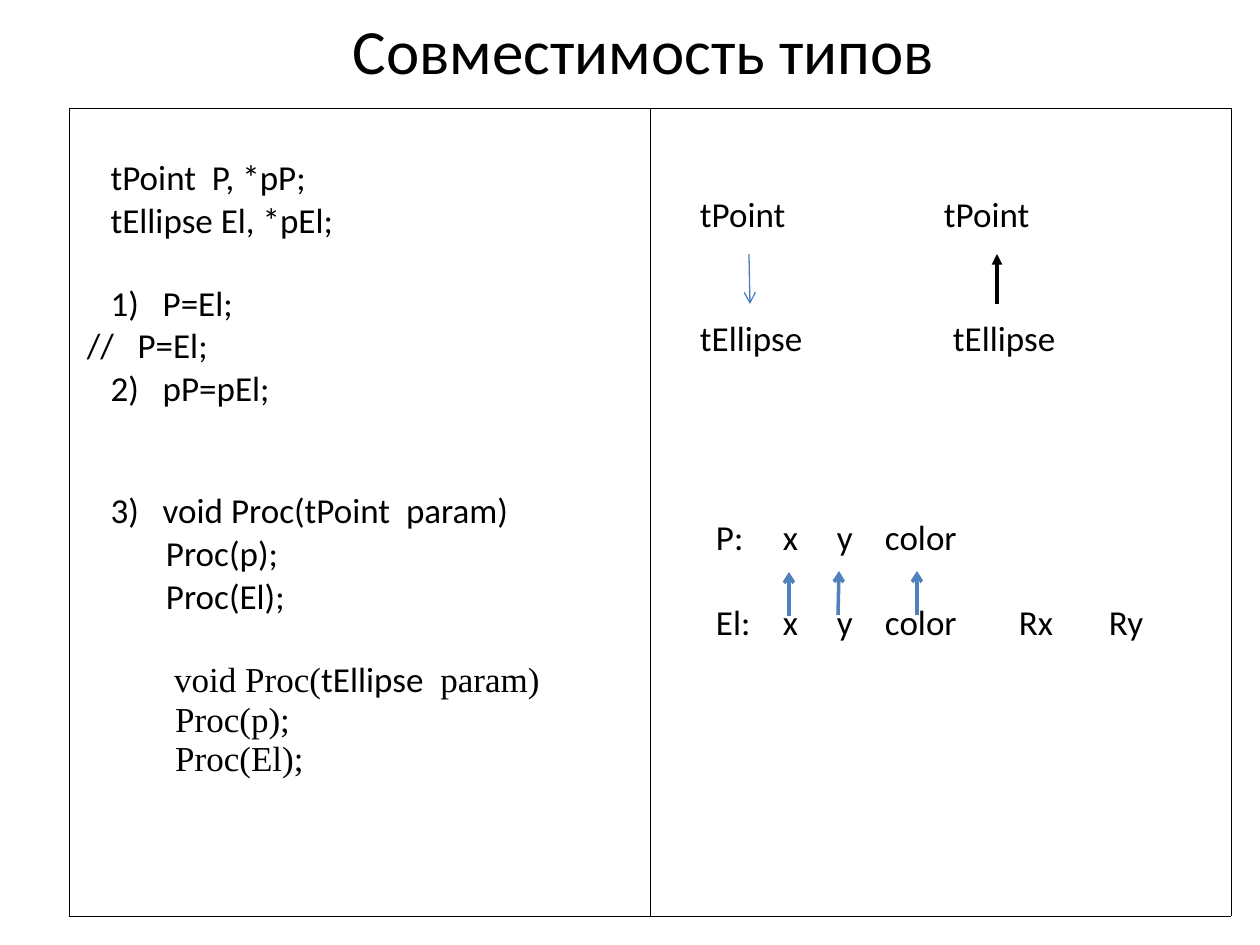
from dataclasses import dataclass

from lxml import etree
from pptx import Presentation, util as u
from pptx.dml.color import RGBColor
from pptx.enum import shapes, text
from pptx.oxml import ns

SCALE = 914400 / 126
BLACK = RGBColor(0, 0, 0)
BLUE = RGBColor(0x4F, 0x81, 0xBD)
DARK_BLUE = RGBColor(0x4A, 0x7E, 0xBB)
SANS = "Calibri"
SERIF = "Times New Roman"


@dataclass(frozen=True)
class Line:
    runs: tuple[tuple[str, str], ...]
    gap: int = 0
    tabs: tuple[int, ...] = ()


@dataclass(frozen=True)
class Arrow:
    x1: int
    y1: int
    x2: int
    y2: int
    color: RGBColor = BLUE
    width: float = 2
    head: str = "arrow"


def sans(content: str, gap: int = 0) -> Line:
    return Line(((content, SANS),), gap)


def columns(gap: int, **cols: int) -> Line:
    raise NotImplementedError


def row(words: tuple[str, ...], tabs: tuple[int, ...], gap: int = 0) -> Line:
    return Line((("".join("\t" + w for w in words), SANS),), gap, tabs)


FIELDS = (56, 123, 177, 225, 359, 449)
CODE = (
    sans("    tPoint  P, *pP;"),
    sans("    tEllipse El, *pEl;"),
    sans("    1)   P=El;", 40),
    sans(" //   P=El;"),
    sans("    2)   pP=pEl;"),
    sans("    3)   void Proc(tPoint  param)", 79),
    sans("           Proc(p);"),
    sans("           Proc(El);"),
    Line((("            ", SANS), ("void Proc(", SERIF),
          ("tEllipse ", SANS), (" param)", SERIF)), 40),
    Line((("           Proc(p);", SERIF),)),
    Line((("           Proc(El);", SERIF),)),
)
DIAGRAM = (
    row(("tPoint", "tPoint"), (40, 284)),
    row(("tEllipse", "tEllipse"), (40, 293), 81),
    row(("P:", "x", "y", "color"), FIELDS, 156),
    row(("El:", "x", "y", "color", "Rx", "Ry"), FIELDS, 43),
)
ARROWS = (
    Arrow(749, 254, 750, 304, DARK_BLUE, 0.75),
    Arrow(997, 304, 997, 254, BLACK, 2, "triangle"),
    Arrow(789, 616, 789, 572),
    Arrow(838, 615, 839, 571),
    Arrow(917, 615, 917, 571),
)


def px(n: int) -> u.Emu:
    return u.Emu(round(n * SCALE))


def add_run(p, content: str, font: str, size: int) -> None:
    r = p.add_run()
    r.text = content
    r.font.name = font
    r.font.size = u.Pt(size)
    r.font.color.rgb = BLACK


def add_title(s, content: str) -> None:
    sp = s.shapes.add_textbox(px(108), px(0), px(1071), px(98))
    tf = sp.text_frame
    tf.word_wrap = True
    tf.vertical_anchor = text.MSO_ANCHOR.MIDDLE
    p = tf.paragraphs[0]
    p.alignment = text.PP_ALIGN.CENTER
    add_run(p, content, SANS, 36)


def add_borders(cell) -> None:
    tc_pr = cell._tc.get_or_add_tcPr()
    for side in ("lnL", "lnR", "lnT", "lnB"):
        ln = etree.SubElement(tc_pr, ns.qn(f"a:{side}"), w=str(u.Pt(0.45)))
        fill = etree.SubElement(ln, ns.qn("a:solidFill"))
        etree.SubElement(fill, ns.qn("a:srgbClr"), val=str(BLACK))


def fill_cell(cell, lines: tuple[Line, ...], top: int) -> None:
    add_borders(cell)
    cell.fill.background()
    cell.margin_left = cell.margin_right = px(10)
    cell.margin_top = px(top)
    cell.margin_bottom = px(6)
    tf = cell.text_frame
    for i, line in enumerate(lines):
        p = tf.add_paragraph() if i else tf.paragraphs[0]
        if line.tabs:
            tab_list = etree.SubElement(p._p.get_or_add_pPr(), ns.qn("a:tabLst"))
            for pos in line.tabs:
                etree.SubElement(tab_list, ns.qn("a:tab"), pos=str(px(pos)), algn="l")
        if line.gap:
            p.space_before = px(line.gap)
        p.alignment = text.PP_ALIGN.LEFT
        for content, font in line.runs:
            add_run(p, content, font, 20)


def add_arrow(s, a: Arrow) -> None:
    c = s.shapes.add_connector(shapes.MSO_CONNECTOR.STRAIGHT,
                               px(a.x1), px(a.y1), px(a.x2), px(a.y2))
    c.line.color.rgb = a.color
    c.line.width = u.Pt(a.width)
    etree.SubElement(c.line._get_or_add_ln(), ns.qn("a:tailEnd"), type=a.head)
    etree.SubElement(c._element.spPr, ns.qn("a:effectLst"))


def main() -> None:
    prs = Presentation()
    prs.slide_width, prs.slide_height = px(1260), px(945)
    s = prs.slides.add_slide(prs.slide_layouts[6])
    add_title(s, "Совместимость типов")
    table = s.shapes.add_table(1, 2, px(69), px(108), px(1162), px(808)).table
    table.first_row = table.horz_banding = False
    fill_cell(table.cell(0, 0), CODE, 49)
    fill_cell(table.cell(0, 1), DIAGRAM, 86)
    for arrow in ARROWS:
        add_arrow(s, arrow)
    prs.save("out.pptx")


if __name__ == "__main__":
    main()
